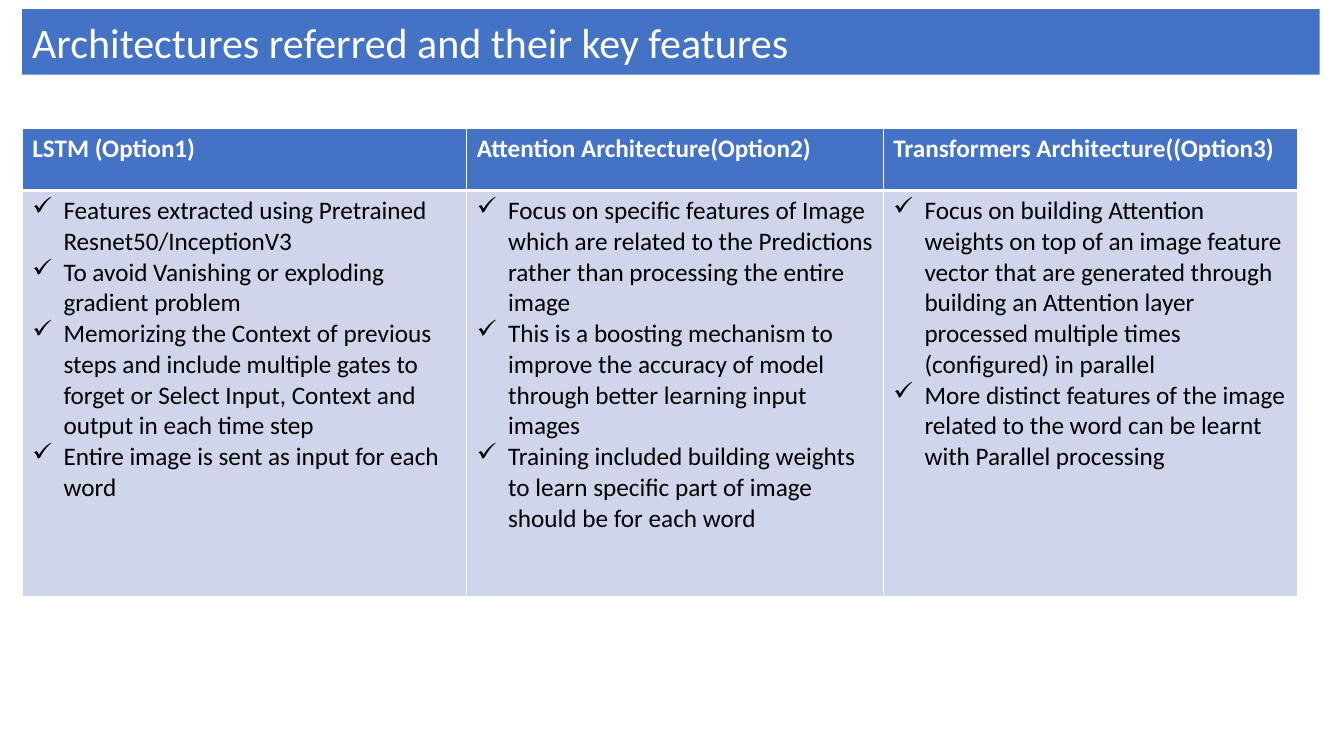
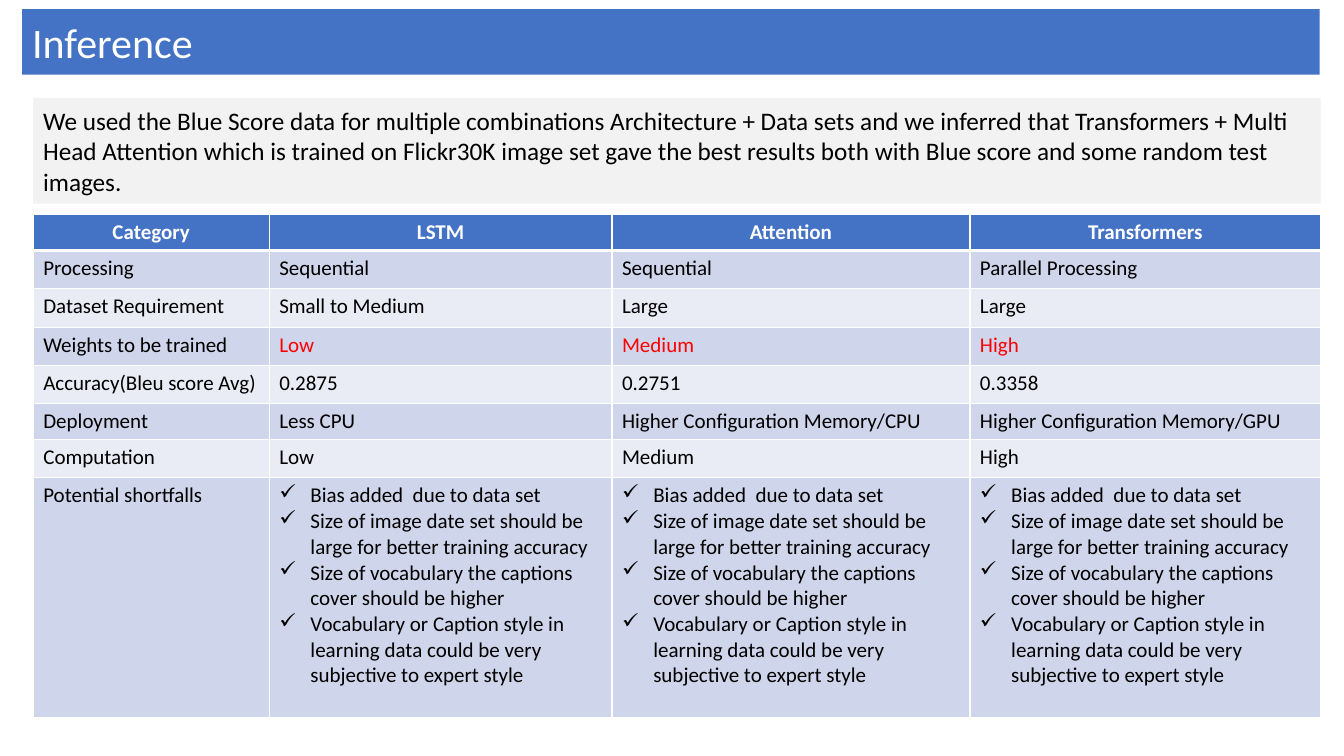
"""Build two slides comparing image captioning architectures."""
from pptx import Presentation
from pptx.dml.color import RGBColor as RGB
from pptx.enum.shapes import MSO_SHAPE as SHAPE
from pptx.enum.text import MSO_ANCHOR as ANCHOR, PP_ALIGN as ALIGN
from pptx.oxml.ns import qn
from pptx.util import Inches, Pt
from lxml.etree import SubElement as Sub

BLUE = RGB(0x44, 0x72, 0xC4)
BAND = RGB(0xCF, 0xD5, 0xEA)
PALE = RGB(0xE9, 0xEB, 0xF5)
GRAY = RGB(0xF2, 0xF2, 0xF2)
WHITE = RGB(0xFF, 0xFF, 0xFF)
BLACK = RGB(0, 0, 0)
RED = RGB(0xFF, 0, 0)
FONT = "Calibri"


def write(frame, text, size=18, color=BLACK, bold=False, align=ALIGN.LEFT, mark=None):
    frame.word_wrap = True
    lines = [text] if isinstance(text, str) else text
    for i, line in enumerate(lines):
        para = frame.add_paragraph() if i else frame.paragraphs[0]
        para.alignment = align
        if mark:
            props = para._p.get_or_add_pPr()
            props.set("marL", str(Inches(0.31)))
            props.set("indent", str(-Inches(0.31)))
            Sub(props, qn("a:buChar"), char=mark)
        run = para.add_run()
        run.text = line
        font = run.font
        font.name, font.size, font.bold = FONT, Pt(size), bold
        font.color.rgb = color


def edge(cell, side, width):
    props = cell._tc.get_or_add_tcPr()
    line = Sub(props, qn(f"a:ln{side}"), w=str(Pt(width)))
    fill = Sub(line, qn("a:solidFill"))
    Sub(fill, qn("a:srgbClr"), val=str(WHITE))


class Deck:
    def __init__(self):
        self.prs = Presentation()
        self.prs.slide_width = Inches(13.33)
        self.prs.slide_height = Inches(7.5)
        self.slide = None

    def page(self, title):
        self.slide = self.prs.slides.add_slide(self.prs.slide_layouts[6])
        self.box(title, 0.22, 0.09, 12.87, 0.65, BLUE, size=30, color=WHITE)

    def box(self, text, left, top, width, height, fill, **style):
        area = map(Inches, (left, top, width, height))
        shape = self.slide.shapes.add_shape(SHAPE.RECTANGLE, *area)
        shape.shadow.inherit = False
        shape.fill.solid()
        shape.fill.fore_color.rgb = fill
        shape.line.fill.background()
        shape.text_frame.vertical_anchor = ANCHOR.MIDDLE
        write(shape.text_frame, text, **style)

    def table(self, data, left, top, cols, rows, size, align=ALIGN.LEFT, alert=None):
        area = map(Inches, (left, top, sum(cols), sum(rows)))
        grid = self.slide.shapes.add_table(len(rows), len(cols), *area).table
        for col, width in zip(grid.columns, cols):
            col.width = Inches(width)
        for r, (row, height) in enumerate(zip(data, rows)):
            grid.rows[r].height = Inches(height)
            for c, text in enumerate(row):
                cell = grid.cell(r, c)
                for side in "LRTB":
                    thick = (r, side) in ((0, "B"), (1, "T"))
                    edge(cell, side, 3 if thick else 1)
                cell.fill.solid()
                if r == 0:
                    cell.fill.fore_color.rgb = BLUE
                    write(cell.text_frame, text, size=size, color=WHITE,
                          bold=True, align=align)
                else:
                    cell.fill.fore_color.rgb = BAND if r % 2 else PALE
                    write(cell.text_frame, text, size=size,
                          color=RED if r == alert and c else BLACK,
                          mark="✓" if isinstance(text, list) else None)


TRAITS = [
    ["LSTM (Option1)", "Attention Architecture(Option2)",
     "Transformers Architecture((Option3)"],
    [
        ["Features extracted using Pretrained Resnet50/InceptionV3",
         "To avoid Vanishing or exploding gradient problem",
         "Memorizing the Context of previous steps and include multiple gates "
         "to forget or Select Input, Context and output in each time step",
         "Entire image is sent as input for each word"],
        ["Focus on specific features of Image which are related to the "
         "Predictions rather than processing the entire image",
         "This is a boosting mechanism to improve the accuracy of model "
         "through better learning input images",
         "Training included building weights to learn specific part of image "
         "should be for each word"],
        ["Focus on building Attention weights on top of an image feature "
         "vector that are generated through building an Attention layer "
         "processed multiple times (configured) in parallel",
         "More distinct features of the image related to the word can be "
         "learnt with Parallel processing"],
    ],
]
LIMITS = [
    "Bias added  due to data set",
    "Size of image date set should be large for better training accuracy",
    "Size of vocabulary the captions cover should be higher",
    "Vocabulary or Caption style in learning data could be very subjective "
    "to expert style",
]
SCORES = [
    ["Category", "LSTM", "Attention", "Transformers"],
    ["Processing", "Sequential", "Sequential", "Parallel Processing"],
    ["Dataset Requirement", "Small to Medium", "Large", "Large"],
    ["Weights to be trained", "Low", "Medium", "High"],
    ["Accuracy(Bleu score Avg)", "0.2875", "0.2751", "0.3358"],
    ["Deployment", "Less CPU", "Higher Configuration Memory/CPU",
     "Higher Configuration Memory/GPU"],
    ["Computation", "Low", "Medium", "High"],
    ["Potential shortfalls", LIMITS, LIMITS, LIMITS],
]
RESULT = (
    "We used the Blue Score data for multiple combinations Architecture + "
    "Data sets and we inferred that Transformers + Multi Head Attention which "
    "is trained on Flickr30K image set gave the best results both with Blue "
    "score and some random test images."
)


def main():
    deck = Deck()
    deck.page("Architectures referred and their key features")
    deck.table(TRAITS, 0.22, 1.27, [4.41, 4.13, 4.11], [0.62, 4.03], 18)
    deck.page("Inference")
    deck.table(SCORES, 0.33, 2.13, [2.34, 3.4, 3.55, 3.48],
               [0.35, *[0.38] * 4, 0.35, 0.38, 2.38], 15,
               align=ALIGN.CENTER, alert=3)
    deck.box(RESULT, 0.33, 0.97, 12.77, 1.05, GRAY)
    deck.prs.save("out.pptx")


if __name__ == "__main__":
    main()
